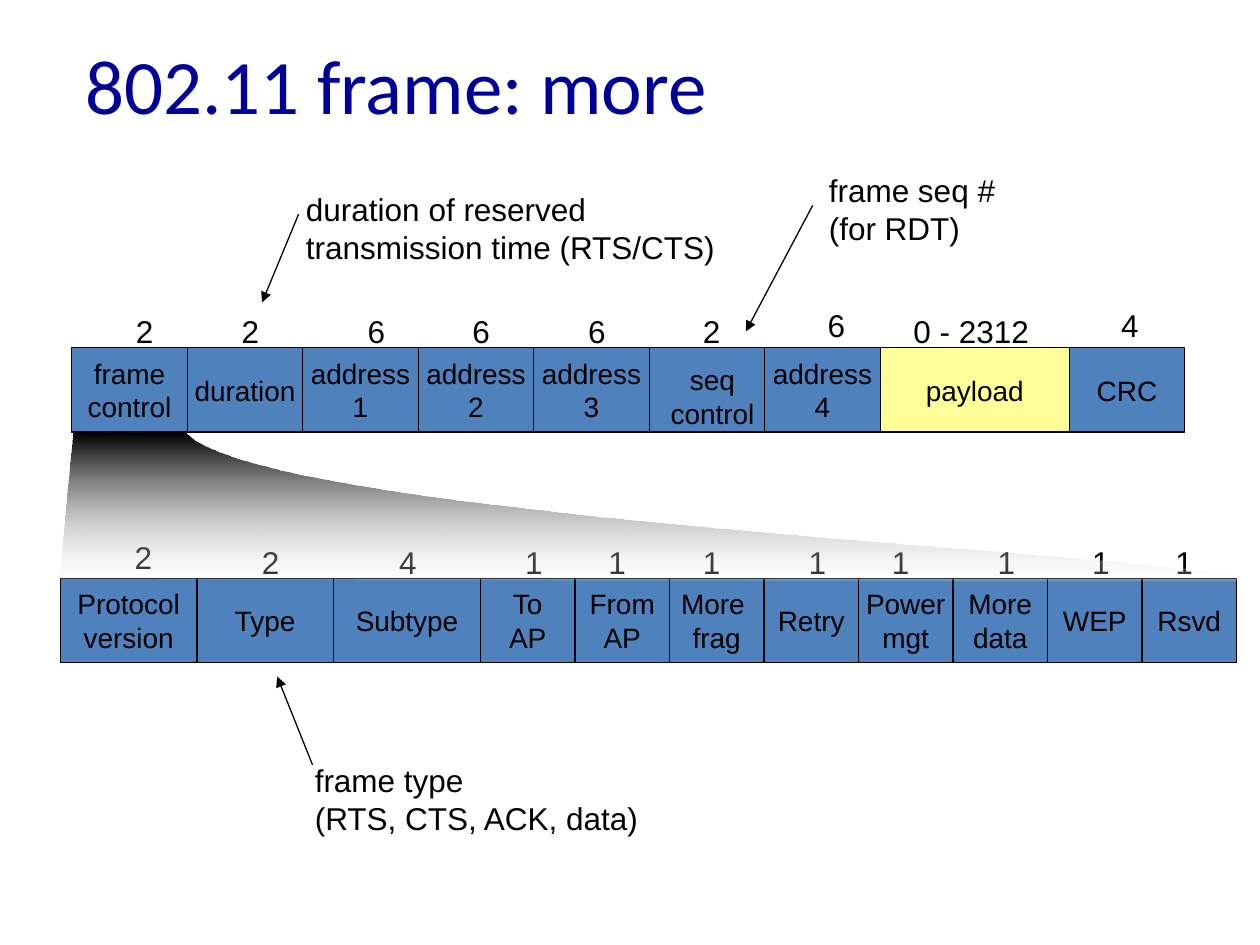
from lxml import etree
from pptx import Presentation
from pptx import util as u
from pptx.dml.color import RGBColor
from pptx.enum import shapes, text
from pptx.oxml.ns import qn

BLUE, YELLOW, BLACK, WHITE, NAVY = "4F81BD", "FFFF99", "000000", "FFFFFF", "000099"
CELL_HEIGHT = 0.67

# Fields: lines, width in twelfths of an inch, size label, label left, label top
FRAME_FIELDS = [
    (["frame", "control"], 11, "2", 0.98, 2.43),
    (["duration"], 11, "2", 1.82, 2.43),
    (["address", "1"], 11, "6", 2.82, 2.43),
    (["address", "2"], 11, "6", 3.65, 2.43),
    (["address", "3"], 11, "6", 4.57, 2.43),
    ([], 11, "2", 5.48, 2.43),
    (["address", "4"], 11, "6", 6.47, 2.38),
    (["payload"], 18, "0 - 2312", 7.15, 2.43),
    (["CRC"], 11, "4", 8.8, 2.38),
]
CONTROL_FIELDS = [
    (["Protocol", "version"], 13, "2", 0.97, 4.22),
    (["Type"], 13, "2", 1.98, 4.26),
    (["Subtype"], 14, "4", 3.07, 4.26),
    (["To", "AP"], 9, "1", 4.07, 4.26),
    (["From", "AP"], 9, "1", 4.73, 4.26),
    (["More ", "frag"], 9, "1", 5.48, 4.26),
    (["Retry"], 9, "1", 6.32, 4.26),
    (["Power", "mgt"], 9, "1", 6.98, 4.26),
    (["More", "data"], 9, "1", 7.82, 4.26),
    (["WEP"], 9, "1", 8.57, 4.26),
    (["Rsvd"], 9, "1", 9.23, 4.26),
]
ROWS = [(0.57, 2.76, FRAME_FIELDS), (0.48, 4.59, CONTROL_FIELDS)]

# Notes: lines, box, arrow start, arrow end
NOTES = [
    (["duration of reserved", "transmission time (RTS/CTS)"],
     (2.33, 1.46, 3.48, 0.71), (2.37, 1.7), (2.08, 2.4)),
    (["frame seq #", "(for RDT)"],
     (6.48, 1.31, 1.53, 0.71), (6.45, 1.63), (5.92, 2.63)),
    (["frame type", "(RTS, CTS, ACK, data)"],
     (2.4, 5.99, 2.82, 0.7), (2.48, 6.07), (2.2, 5.37)),
]

# Zoom wedge: straight corners, then two Bezier curves back to the start
WEDGE_CORNERS = [(0.58, 3.44), (0.47, 4.59), (9.83, 4.61)]
WEDGE_CURVES = [
    [(9.83, 4.61), (10, 4.41), (2.16, 4.15), (1.48, 3.44)],
    [(1.48, 3.44), (0.73, 3.44), (0.77, 3.44), (0.58, 3.44)],
]

deck = Presentation()
deck.slide_width, deck.slide_height = u.Inches(10), u.Inches(7.5)
page = deck.slides.add_slide(deck.slide_layouts[6])


def color(value):
    return RGBColor.from_string(value)


def inches(values):
    return [u.Inches(value) for value in values]


def write(box, lines, size=18, font="Arial", ink=BLACK, align=text.PP_ALIGN.LEFT,
          anchor=text.MSO_ANCHOR.TOP, wrap=False):
    frame = box.text_frame
    frame.word_wrap, frame.vertical_anchor = wrap, anchor
    for index, line in enumerate(lines):
        para = frame.add_paragraph() if index else frame.paragraphs[0]
        para.alignment = align
        span = para.add_run()
        span.text = line
        span.font.size, span.font.name = u.Pt(size), font
        span.font.color.rgb = color(ink)


def add_text(place, lines, **style):
    write(page.shapes.add_textbox(*inches(place)), lines, **style)


def add_cell(place, lines, fill):
    cell = page.shapes.add_shape(shapes.MSO_SHAPE.RECTANGLE, *inches(place))
    cell.shadow.inherit = False
    cell.fill.solid()
    cell.fill.fore_color.rgb = color(fill)
    cell.line.color.rgb, cell.line.width = color(BLACK), u.Pt(0.75)
    write(cell, lines, size=16, align=text.PP_ALIGN.CENTER,
          anchor=text.MSO_ANCHOR.MIDDLE)


def add_arrow(start, end):
    arrow = page.shapes.add_connector(shapes.MSO_CONNECTOR.STRAIGHT,
                                      *inches(start + end))
    arrow.line.color.rgb, arrow.line.width = color(BLACK), u.Pt(0.75)
    etree.SubElement(arrow.line._get_or_add_ln(), qn("a:tailEnd"), type="triangle")
    etree.SubElement(arrow._element.spPr, qn("a:effectLst"))


def curve_points(controls, steps=40):
    for step in range(1, steps + 1):
        t = step / steps
        weights = ((1 - t) ** 3, 3 * t * (1 - t) ** 2, 3 * t * t * (1 - t), t ** 3)
        yield tuple(sum(w * point[axis] for w, point in zip(weights, controls))
                    for axis in (0, 1))


def add_wedge():
    points = WEDGE_CORNERS + [p for curve in WEDGE_CURVES for p in curve_points(curve)]
    outline = [tuple(inches(point)) for point in points]
    builder = page.shapes.build_freeform(*outline[0])
    builder.add_line_segments(outline[1:], close=True)
    wedge = builder.convert_to_shape()
    wedge.shadow.inherit = False
    wedge.line.fill.background()
    wedge.fill.gradient()
    wedge.fill.gradient_angle = 270
    for stop, shade, position in zip(wedge.fill.gradient_stops, (BLACK, WHITE), (0, 1)):
        stop.color.rgb, stop.position = color(shade), position
    # The white end is mostly transparent
    last = wedge._element.spPr.findall(".//" + qn("a:srgbClr"))[-1]
    etree.SubElement(last, qn("a:alpha"), val="18000")


# Frame rows with the byte or bit count above each field
for left, top, fields in ROWS:
    for lines, twelfths, count, label_left, label_top in fields:
        width = twelfths / 12
        add_cell((left, top, width, CELL_HEIGHT), lines,
                 YELLOW if lines == ["payload"] else BLUE)
        left += width
        label_width = 1.12 if len(count) > 1 else 0.34
        add_text((label_left, label_top, label_width, 0.4), [count])

# Sequence control caption sits slightly low in its cell
add_text((5.22, 2.83, 0.87, 0.64), ["seq", "control"], size=16,
         align=text.PP_ALIGN.CENTER)

add_wedge()

# Notes with arrows
for lines, place, start, end in NOTES:
    add_text(place, lines)
    add_arrow(start, end)

# Title
add_text((0.58, 0.25, 8.5, 1.25), ["802.11 frame: more"], size=44,
         font="Calibri", ink=NAVY, wrap=True)

deck.save("out.pptx")
